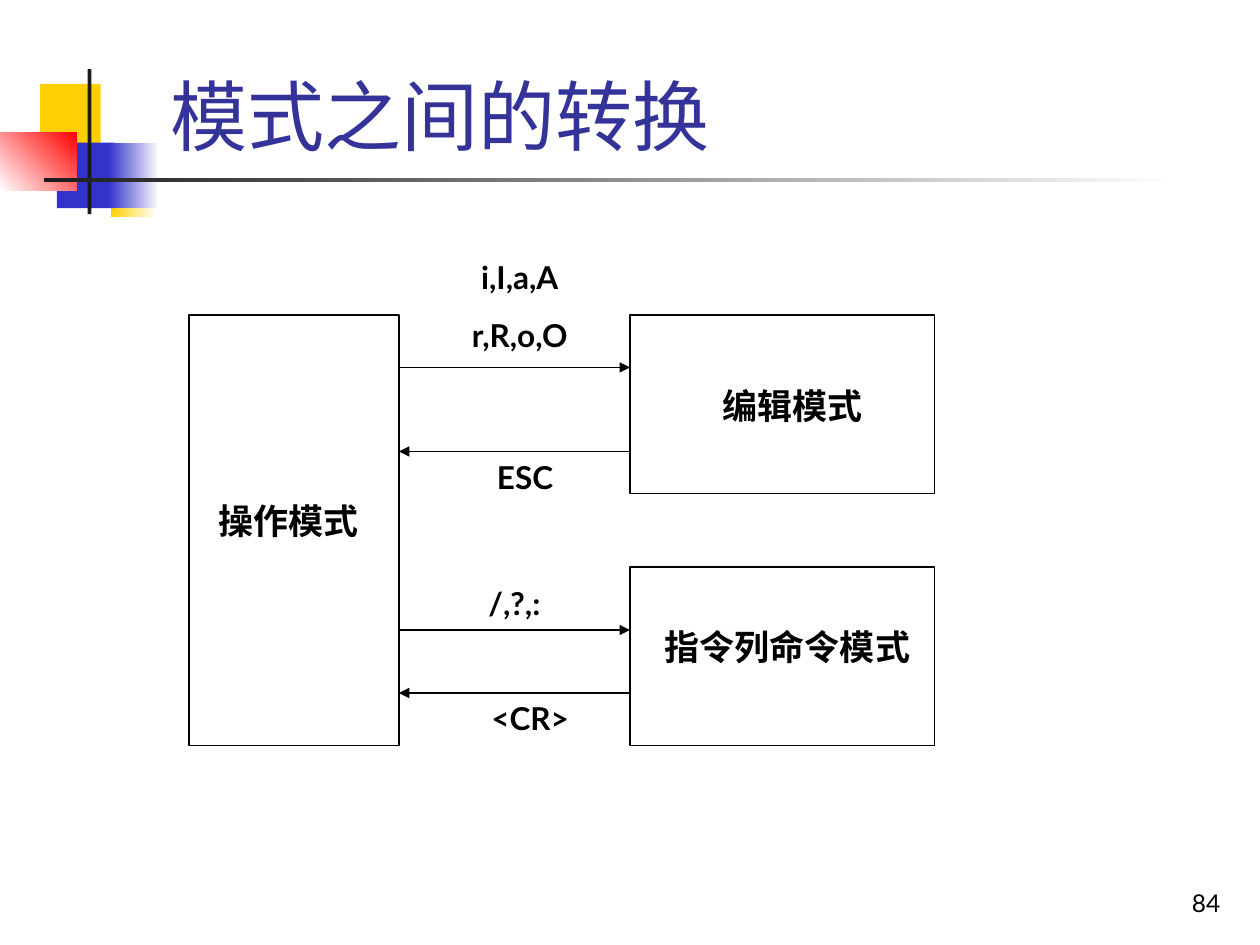
from pptx import Presentation
from pptx.dml.color import RGBColor
from pptx.enum.shapes import MSO_CONNECTOR, MSO_SHAPE
from pptx.enum.text import MSO_ANCHOR, MSO_AUTO_SIZE, PP_ALIGN
from pptx.oxml.ns import qn
from pptx.util import Pt
from lxml import etree

RECTANGLE = MSO_SHAPE.RECTANGLE
STRAIGHT = MSO_CONNECTOR.STRAIGHT
TOP, BOTTOM = MSO_ANCHOR.TOP, MSO_ANCHOR.BOTTOM
LEFT, CENTER, RIGHT = PP_ALIGN.LEFT, PP_ALIGN.CENTER, PP_ALIGN.RIGHT
GROW, FIXED = MSO_AUTO_SIZE.SHAPE_TO_FIT_TEXT, MSO_AUTO_SIZE.NONE

FONT = "Lato"
BLACK, WHITE, DARK = "000000", "FFFFFF", "1C1C1C"
YELLOW, BLUE, RED, TITLE_BLUE = "FFCF01", "3333CC", "FF0000", "333399"

COMMAND_FORMAT = {"size": Pt(18), "bold": True}
MODE_FORMAT = {"size": Pt(20), "bold": True}

# Left, top, width, height in points; one colour, or two for a gradient; angle
DECORATIONS = [
    ((23, 48, 34.5, 37.5), [YELLOW], None),
    ((63.5, 86.5, 26, 37.5), [WHITE, YELLOW], 180),
    ((32.5, 81.5, 33, 37.5), [BLUE], None),
    ((62, 81.5, 29, 37.5), [WHITE, BLUE], 180),
    ((0, 75.5, 44, 33.5), [RED, WHITE], 225),
    ((50, 39.5, 2.25, 83), [DARK], None),
    ((25, 101.5, 648, 2.25), [WHITE, DARK], 180),
]

OPERATION_RIGHT, TARGET_LEFT = 228, 360
MODE_BOXES = [
    (108, 180, 120, 246),
    (TARGET_LEFT, 324, 174, 102),
    (TARGET_LEFT, 180, 174, 102),
]
FORWARD_HEIGHTS = [210, 360]
RETURN_HEIGHTS = [258, 396]

COMMAND_LABELS = [
    ((264, 396, 78, 29), ["<CR>"]),
    ((258, 330, 72, 29), ["/,?,:"]),
    ((252, 258, 96, 29), ["ESC"]),
    ((258, 144, 78, 62), ["i,I,a,A", "r,R,o,O"]),
]
MODE_LABELS = [
    ((396, 216, 114, 31.5), ["编辑模式"]),
    ((372, 354, 156, 31.5), ["指令列命令模式"]),
    ((108, 282, 114, 31.5), ["操作模式"]),
]


def color(hex_value):
    return RGBColor.from_string(hex_value)


def points(values):
    return [Pt(value) for value in values]


def add_rectangle(slide, box, colors, angle=None, outline=None):
    shape = slide.shapes.add_shape(RECTANGLE, *points(box))
    shape.shadow.inherit = False
    if len(colors) == 1:
        shape.fill.solid()
        shape.fill.fore_color.rgb = color(colors[0])
    else:
        shape.fill.gradient()
        shape.fill.gradient_angle = angle
        for stop, hex_value in zip(shape.fill.gradient_stops, colors):
            stop.color.rgb = color(hex_value)
    if outline:
        shape.line.color.rgb = color(outline)
        shape.line.width = Pt(0.75)
    else:
        shape.line.fill.background()


def add_arrow(slide, start_x, end_x, y):
    """Draw a horizontal arrow with its head at end_x."""
    ends = points((start_x, y, end_x, y))
    connector = slide.shapes.add_connector(STRAIGHT, *ends)
    connector.line.color.rgb = color(BLACK)
    connector.line.width = Pt(0.75)
    line = connector.line._get_or_add_ln()
    etree.SubElement(line, qn("a:tailEnd"), type="triangle")
    etree.SubElement(connector._element.spPr, qn("a:effectLst"))


def add_text(slide, box, lines, font_format, alignment=CENTER,
             anchor=TOP, auto_size=GROW, hex_value=BLACK):
    frame = slide.shapes.add_textbox(*points(box)).text_frame
    frame.word_wrap = True
    frame.auto_size = auto_size
    frame.vertical_anchor = anchor
    for index, text in enumerate(lines):
        paragraph = frame.add_paragraph() if index else frame.paragraphs[0]
        paragraph.alignment = alignment
        if index:
            paragraph.space_before = Pt(11.2)
        run = paragraph.add_run()
        run.text = text
        run.font.name = FONT
        run.font.color.rgb = color(hex_value)
        for name, value in font_format.items():
            setattr(run.font, name, value)


def main():
    presentation = Presentation()
    presentation.slide_width, presentation.slide_height = Pt(720), Pt(540)
    slide = presentation.slides.add_slide(presentation.slide_layouts[6])

    for box, colors, angle in DECORATIONS:
        add_rectangle(slide, box, colors, angle)
    add_text(slide, (90.5, 16.5, 613.5, 79), ["模式之间的转换"], {"size": Pt(44)},
             LEFT, BOTTOM, FIXED, TITLE_BLUE)

    for box in MODE_BOXES:
        add_rectangle(slide, box, [WHITE], outline=BLACK)
    for forward, back in zip(FORWARD_HEIGHTS, RETURN_HEIGHTS):
        add_arrow(slide, OPERATION_RIGHT, TARGET_LEFT, forward)
        add_arrow(slide, TARGET_LEFT, OPERATION_RIGHT, back)

    for box, lines in COMMAND_LABELS:
        add_text(slide, box, lines, COMMAND_FORMAT)
    for box, lines in MODE_LABELS:
        add_text(slide, box, lines, MODE_FORMAT)
    add_text(slide, (554.5, 492, 150, 36), ["84"], {"size": Pt(14)},
             RIGHT, BOTTOM, FIXED)

    presentation.save("out.pptx")


if __name__ == "__main__":
    main()
